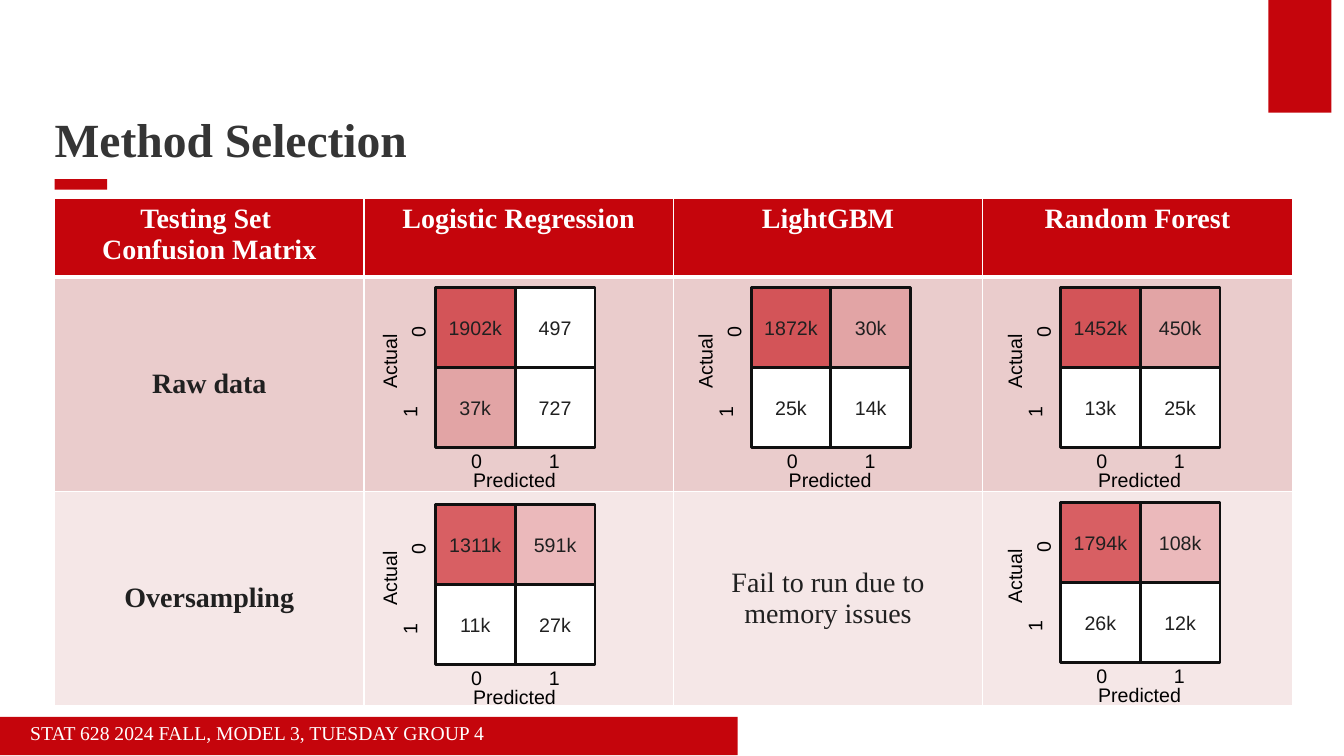
from typing import NamedTuple

from lxml import etree
from pptx import Presentation
from pptx.dml.color import RGBColor
from pptx.enum import shapes, text
from pptx.oxml import ns
from pptx.util import Pt

COLORS = {
    "red": "C5050C", "white": "FFFFFF", "title": "353535", "ink": "202020",
    "outline": "101010", "label": "000000", "raw_row": "EACCCC", "oversampling_row": "F5E7E7",
}
SERIF, SANS = "Times New Roman", "Arial"
CELL = 57
ROW_HEIGHTS = (56, 153, 153)
COLUMN_WIDTH = 221
RED_OPACITY = {"strong": 60, "light": 20}


class Area(NamedTuple):
    left: float
    top: float
    width: float
    height: float


class Matrix(NamedTuple):
    left: float
    top: float
    values: tuple[str, str, str, str]
    shades: tuple[str, str, str, str]


class AxisLabel(NamedTuple):
    """Label whose centre is given from the top left corner of its matrix."""
    words: str
    x: float
    y: float
    length: float
    upward: bool = False


TOP_ROW = ("strong", "light", "white", "white")
LEFT_COLUMN = ("strong", "white", "light", "white")
MATRICES = (
    Matrix(311, 205.5, ("1902k", "497", "37k", "727"), LEFT_COLUMN),
    Matrix(536.5, 205.5, ("1872k", "30k", "25k", "14k"), TOP_ROW),
    Matrix(757.5, 205.5, ("1452k", "450k", "13k", "25k"), TOP_ROW),
    Matrix(311, 360.5, ("1311k", "591k", "11k", "27k"), TOP_ROW),
    Matrix(757.5, 359, ("1794k", "108k", "26k", "12k"), TOP_ROW),
)
AXIS_LABELS = (
    AxisLabel("Actual", -33, 52.5, 46, True),
    AxisLabel("0", -12.5, 31.5, 15, True),
    AxisLabel("1", -18.5, 88.5, 15, True),
    AxisLabel("Predicted", 56.5, 137, 74),
    AxisLabel("1", 85, 123.5, 22),
    AxisLabel("0", 29.5, 123.5, 22),
)
TABLE_ROWS = (
    ("red", ("Testing Set \nConfusion Matrix", "Logistic Regression", "LightGBM", "Random Forest")),
    ("raw_row", ("Raw data", "", "", "")),
    ("oversampling_row", ("Oversampling", "", "Fail to run due to memory issues", "")),
)


def color(name: str) -> RGBColor:
    return RGBColor.from_string(COLORS[name])


def write(frame, words: str, font: str, size: float, ink: str,
          bold: bool = False, align=text.PP_ALIGN.CENTER) -> None:
    frame.text = words
    for para in frame.paragraphs:
        para.alignment = align
        para.font.name, para.font.size, para.font.bold = font, Pt(size), bold
        para.font.color.rgb = color(ink)


def set_frame(frame, anchor, margins=(0, 0, 0, 0), wrap: bool = True) -> None:
    """Set anchor, wrapping and the left, top, right and bottom margins."""
    frame.vertical_anchor, frame.word_wrap = anchor, wrap
    frame.margin_left, frame.margin_top, frame.margin_right, frame.margin_bottom = map(Pt, margins)


def add_rect(parent, area: Area, fill: str):
    rect = parent.add_shape(shapes.MSO_SHAPE.RECTANGLE, *map(Pt, area))
    rect.shadow.inherit = False
    rect.fill.solid()
    rect.fill.fore_color.rgb = color(fill)
    rect.line.fill.background()
    return rect


def add_cell(parent, area: Area, value: str, shade: str) -> None:
    opacity = RED_OPACITY.get(shade)
    cell = add_rect(parent, area, "red" if opacity else shade)
    if opacity:
        tint = cell.fill._xPr.find(".//" + ns.qn("a:srgbClr"))
        etree.SubElement(tint, ns.qn("a:alpha"), val=str(opacity * 1000))
    cell.line.color.rgb, cell.line.width = color("outline"), Pt(2)
    set_frame(cell.text_frame, text.MSO_ANCHOR.MIDDLE, wrap=False)
    write(cell.text_frame, value, SANS, 14, "ink")


def add_axis_label(parent, matrix: Matrix, label: AxisLabel) -> None:
    width, height = (16, label.length) if label.upward else (label.length, 16)
    area = Area(matrix.left + label.x - width / 2, matrix.top + label.y - height / 2, width, height)
    frame = parent.add_textbox(*map(Pt, area)).text_frame
    set_frame(frame, text.MSO_ANCHOR.MIDDLE, wrap=False)
    if label.upward:
        frame._txBody.bodyPr.set("vert", "vert270")
    write(frame, label.words, SANS, 14, "label")


def add_matrix(page, matrix: Matrix) -> None:
    parent = page.shapes.add_group_shape().shapes
    for index, (value, shade) in enumerate(zip(matrix.values, matrix.shades)):
        row, column = divmod(index, 2)
        area = Area(matrix.left + column * CELL, matrix.top + row * CELL, CELL, CELL)
        add_cell(parent, area, value, shade)
    for label in AXIS_LABELS:
        add_axis_label(parent, matrix, label)


def add_borders(cell, top: float, bottom: float) -> None:
    properties = cell._tc.get_or_add_tcPr()
    for side, width in (("L", 1), ("R", 1), ("T", top), ("B", bottom)):
        line = etree.SubElement(properties, ns.qn(f"a:ln{side}"), w=str(Pt(width)))
        fill = etree.SubElement(line, ns.qn("a:solidFill"))
        etree.SubElement(fill, ns.qn("a:srgbClr"), val=COLORS["white"])


def add_results_table(page) -> None:
    columns = len(TABLE_ROWS[0][1])
    area = Area(39, 142, columns * COLUMN_WIDTH, sum(ROW_HEIGHTS))
    table = page.shapes.add_table(len(TABLE_ROWS), columns, *map(Pt, area)).table
    table.horz_banding = False
    for column in table.columns:
        column.width = Pt(COLUMN_WIDTH)
    for row, (fill, entries) in enumerate(TABLE_ROWS):
        table.rows[row].height = Pt(ROW_HEIGHTS[row])
        header = row == 0
        for column, words in enumerate(entries):
            cell = table.cell(row, column)
            add_borders(cell, top=3 if row == 1 else 1, bottom=3 if header else 1)
            cell.fill.solid()
            cell.fill.fore_color.rgb = color(fill)
            cell.vertical_anchor = text.MSO_ANCHOR.TOP if header else text.MSO_ANCHOR.MIDDLE
            write(cell.text_frame, words, SERIF, 20, "white" if header else "ink",
                  bold=header or column == 0)


def add_title(page) -> None:
    frame = page.shapes.add_textbox(*map(Pt, Area(39, 36, 840, 84))).text_frame
    set_frame(frame, text.MSO_ANCHOR.BOTTOM, (0, 3.6, 7.2, 0))
    write(frame, "Method Selection", SERIF, 34, "title", True, text.PP_ALIGN.LEFT)
    frame.paragraphs[0].line_spacing = 0.9


def add_footer(page) -> None:
    frame = add_rect(page.shapes, Area(0, 512, 527, 27.5), "red").text_frame
    set_frame(frame, text.MSO_ANCHOR.MIDDLE, (21.6, 5, 14.4, 7.2))
    write(frame, "STAT 628 2024 FALL, MODEL 3, TUESDAY GROUP 4", SERIF, 14, "white",
          align=text.PP_ALIGN.LEFT)
    frame.paragraphs[0].line_spacing = 0.9


def main() -> None:
    deck = Presentation()
    deck.slide_width, deck.slide_height = Pt(960), Pt(540)
    page = deck.slides.add_slide(deck.slide_layouts[6])
    add_rect(page.shapes, Area(906, 0, 45, 80.5), "red")
    add_rect(page.shapes, Area(39, 128, 37.5, 7.5), "red")
    add_title(page)
    add_footer(page)
    add_results_table(page)
    for matrix in MATRICES:
        add_matrix(page, matrix)
    deck.save("out.pptx")


if __name__ == "__main__":
    main()
